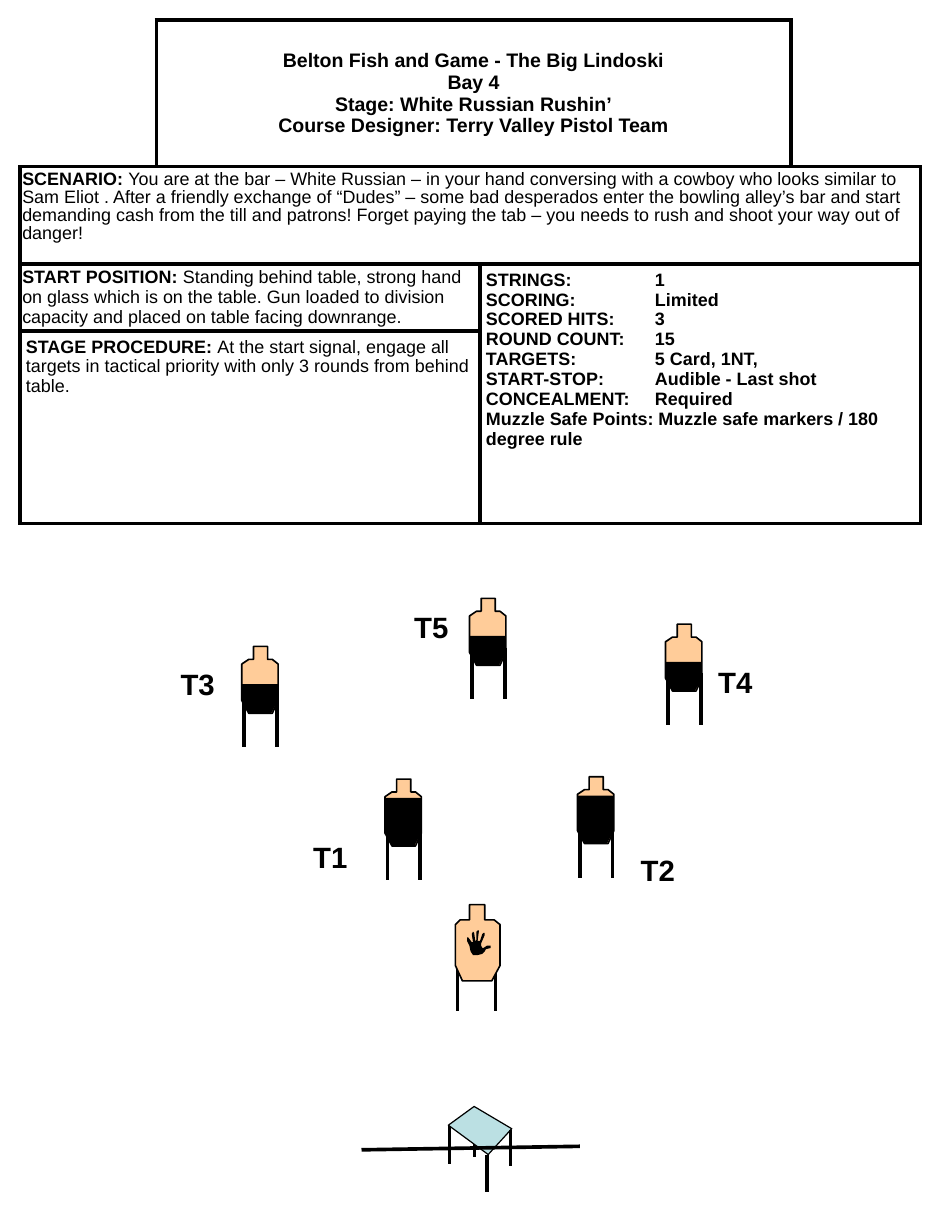
from lxml import etree
from pptx import Presentation
from pptx import util as u
from pptx.dml.color import RGBColor
from pptx.enum import shapes, text
from pptx.oxml import ns

BLACK, WHITE, TAN, GLASS = "000000", "FFFFFF", "FFCC99", "BBE0E3"
UNIT = u.Inches(0.01)

SILHOUETTE = [(10, 0), (22, 0), (22, 11), (26, 11), (31, 15), (31, 46),
              (26, 57), (6, 57), (0, 46), (0, 15), (6, 11), (10, 11)]
NO_SHOOT = [(12, 0), (25, 0), (25, 13), (33, 13), (38, 17), (38, 52),
            (31, 65), (6, 65), (0, 52), (0, 17), (4, 13), (12, 13)]
HAND = [(23, 42), (19, 43), (15, 43), (13, 40), (12, 35), (10, 31), (10, 28),
        (11, 28), (14, 32), (15, 32), (14, 25), (15, 23), (16, 24), (17, 31),
        (18, 30), (18, 23), (19, 22), (20, 22), (20, 23), (19, 31), (21, 31),
        (23, 25), (24, 24), (25, 24), (25, 26), (22, 33), (22, 35), (23, 37),
        (24, 37), (27, 35), (30, 35), (30, 37), (26, 38), (25, 40)]
FACTS = [("STRINGS:", "1"), ("SCORING:", "Limited"), ("SCORED HITS:", "3"),
         ("ROUND COUNT:", "15"), ("TARGETS:", "5 Card, 1NT,"),
         ("START-STOP:", "Audible - Last shot"), ("CONCEALMENT:", "Required")]


def rgb(color):
    return RGBColor.from_string(color)


def style_font(r, size, bold):
    r.font.name = "Arial"
    r.font.size = u.Pt(size)
    r.font.bold = bold
    r.font.color.rgb = rgb(BLACK)


def poly(box, x, y, pts, fill, width=0):
    ends = [(u.Inches(x) + px * UNIT, u.Inches(y) + py * UNIT) for px, py in pts]
    fb = box.shapes.build_freeform(*ends[0])
    fb.add_line_segments(ends[1:], close=True)
    sp = fb.convert_to_shape()
    sp.shadow.inherit = False
    sp.fill.solid()
    sp.fill.fore_color.rgb = rgb(fill)
    if width:
        sp.line.color.rgb = rgb(BLACK)
        sp.line.width = u.Pt(width)
    else:
        sp.line.fill.background()


def line(box, x1, y1, x2, y2, width=2.25):
    c = box.shapes.add_connector(shapes.MSO_CONNECTOR.STRAIGHT,
                                 *map(u.Inches, (x1, y1, x2, y2)))
    c.line.color.rgb = rgb(BLACK)
    c.line.width = u.Pt(width)
    etree.SubElement(c._element.spPr, ns.qn("a:effectLst"))


def legs(box, x, y, posts, width):
    for px, top, bottom in posts:
        line(box, x + px / 100, y + top / 100, x + px / 100, y + bottom / 100, width)


def target(s, x, y, cover):
    g = s.shapes.add_group_shape()
    legs(g, x, y, [(2, 42, 86), (30, 42, 86)], 2.25)
    poly(g, x, y, SILHOUETTE, TAN, 1)
    band = [(0, cover), (31, cover), (31, 46), (25, 57), (6, 57), (0, 46)]
    poly(g, x, y, band, BLACK)


def no_shoot(s, x, y):
    g = s.shapes.add_group_shape()
    legs(g, x, y, [(2, 48, 91), (34, 48, 91)], 1.75)
    poly(g, x, y, NO_SHOOT, TAN, 1)
    poly(g, x, y, HAND, BLACK)


def bar_table(s, x, y):
    g = s.shapes.add_group_shape()
    legs(g, x, y, [(1, 17, 49), (22, 4, 43)], 2)
    poly(g, x, y, [(54, 19), (34, 41), (0, 16), (22, 0)], GLASS, 0.75)
    legs(g, x, y, [(33, 41, 73), (53, 20, 51)], 2)
    line(s, x + 1.12, y + 0.34, x - 0.74, y + 0.37)


def label(s, x, y, words):
    tf = s.shapes.add_textbox(*map(u.Inches, (x, y, 0.58, 0.4))).text_frame
    tf.word_wrap = True
    tf.text = words
    style_font(tf.paragraphs[0].runs[0], 18, True)


def cell_format(cell, sides):
    tcPr = cell._tc.get_or_add_tcPr()
    for side in "LRTB":
        ln = etree.SubElement(tcPr, ns.qn("a:ln" + side), w=str(u.Pt(2.25)))
        if side in sides:
            fill = etree.SubElement(ln, ns.qn("a:solidFill"))
            etree.SubElement(fill, ns.qn("a:srgbClr"), val=BLACK)
        else:
            etree.SubElement(ln, ns.qn("a:noFill"))
    cell.fill.solid()
    cell.fill.fore_color.rgb = rgb(WHITE)


def margins(cell, side, end):
    cell.margin_left = cell.margin_right = u.Inches(side)
    cell.margin_top = cell.margin_bottom = u.Inches(end)


def passage(cell, head, body, side, end):
    margins(cell, side, end)
    p = cell.text_frame.paragraphs[0]
    for words, bold in ((head + " ", True), (body, False)):
        r = p.add_run()
        r.text = words
        style_font(r, 11, bold)
    return p


def fact_list(cell):
    margins(cell, 0.05, 0.05)
    tf = cell.text_frame
    rows = ["\t".join(fact) for fact in FACTS]
    rows.append("Muzzle Safe Points: Muzzle safe markers / 180 degree rule")
    for i, row in enumerate(rows):
        p = tf.paragraphs[0] if i == 0 else tf.add_paragraph()
        tabs = etree.SubElement(p._p.get_or_add_pPr(), ns.qn("a:tabLst"))
        etree.SubElement(tabs, ns.qn("a:tab"), pos=str(u.Inches(1.44)), algn="l")
        p.text = row
        for r in p.runs:
            style_font(r, 11, True)


def briefing(s, x, y, cols, rows):
    size = [u.Inches(v) for v in (x, y, sum(cols), sum(rows))]
    t = s.shapes.add_table(len(rows), len(cols), *size).table
    t.first_row = t.horz_banding = False
    for col, w in zip(t.columns, cols):
        col.width = u.Inches(w)
    for row, h in zip(t.rows, rows):
        row.height = u.Inches(h)
    corners = {(0, 0): "RB", (0, 3): "LB"}
    for i in range(len(rows)):
        for j in range(len(cols)):
            cell_format(t.cell(i, j), corners.get((i, j), "LRTB"))
    for first, last in (((0, 1), (0, 2)), ((1, 0), (1, 3)), ((2, 0), (2, 1)),
                        ((2, 2), (3, 3)), ((3, 0), (3, 1))):
        t.cell(*first).merge(t.cell(*last))

    head = t.cell(0, 1)
    margins(head, 0.05, 0.05)
    head.vertical_anchor = text.MSO_ANCHOR.MIDDLE
    p = head.text_frame.paragraphs[0]
    p.text = "\v".join(["Belton Fish and Game - The Big Lindoski", "Bay 4",
                        "Stage: White Russian Rushin’",
                        "Course Designer: Terry Valley Pistol Team"])
    p.alignment = text.PP_ALIGN.CENTER
    for r in p.runs:
        style_font(r, 12, True)

    p = passage(t.cell(1, 0), "SCENARIO:",
                "You are at the bar – White Russian – in your hand conversing with a "
                "cowboy who looks similar to Sam Eliot . After a friendly exchange of "
                "“Dudes” – some bad desperados enter the bowling alley’s bar and start "
                "demanding cash from the till and patrons! Forget paying the tab – you "
                "needs to rush and shoot your way out of danger!", 0.02, 0.04)
    p.line_spacing = 0.9
    passage(t.cell(2, 0), "START POSITION:",
            "Standing behind table, strong hand on glass which is on the table. Gun "
            "loaded to division capacity and placed on table facing downrange.", 0.02, 0.03)
    passage(t.cell(3, 0), "STAGE PROCEDURE:",
            "At the start signal, engage all targets in tactical priority with only 3 "
            "rounds from behind table.", 0.05, 0.05)
    fact_list(t.cell(2, 2))


def main():
    prs = Presentation()
    prs.slide_width, prs.slide_height = u.Inches(8), u.Inches(10.5)
    s = prs.slides.add_slide(prs.slide_layouts[6])
    briefing(s, 0.17, 0.17, [1.16, 2.76, 2.65, 1.1], [1.25, 0.83, 0.56, 1.64])
    for words, x, y in (("T1", 2.57, 7.1), ("T2", 5.36, 7.21), ("T3", 1.44, 5.63),
                        ("T4", 6.02, 5.61), ("T5", 3.43, 5.14)):
        label(s, x, y, words)
    for x, y, cover in ((2.06, 5.51, 32), (4, 5.1, 32), (5.67, 5.32, 32),
                        (3.28, 6.64, 16), (4.92, 6.62, 16)):
        target(s, x, y, cover)
    no_shoot(s, 3.88, 7.71)
    bar_table(s, 3.82, 9.43)
    prs.save("out.pptx")


if __name__ == "__main__":
    main()
